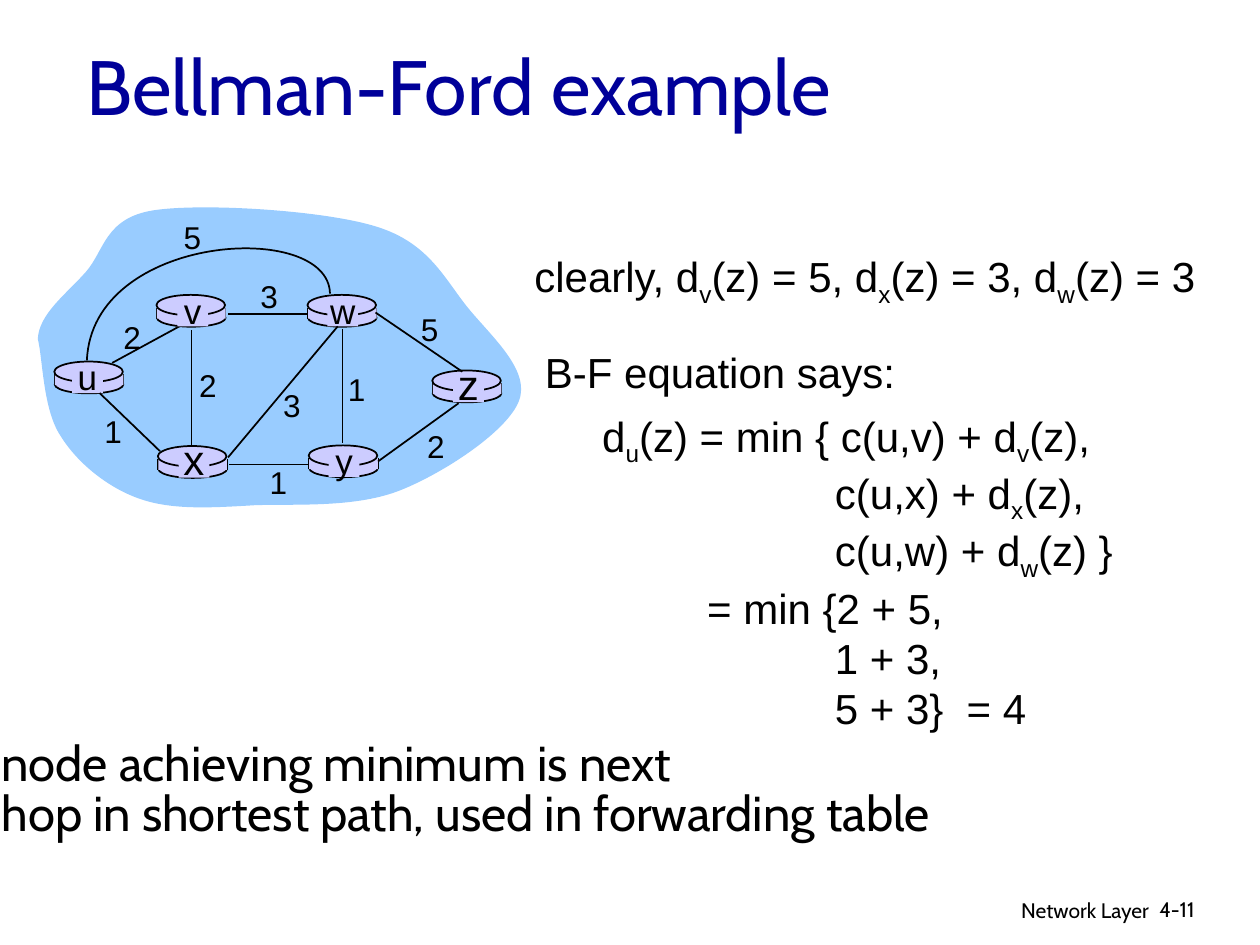
import pptx
import pptx.util
import pptx.dml.color
import pptx.enum.shapes
import pptx.enum.text
import pptx.oxml.ns
from lxml import etree

Pt = pptx.util.Pt
qn = pptx.oxml.ns.qn
SHAPE = pptx.enum.shapes.MSO_SHAPE
ALIGN = pptx.enum.text.PP_ALIGN
ANCHOR = pptx.enum.text.MSO_ANCHOR
COLORS = {name: pptx.dml.color.RGBColor.from_string(value) for name, value in {
    "title": "000099", "ink": "000000", "cloud": "99CCFF", "router": "CCCCFF"}.items()}


def write(sp, text, size=24, font="Arial", color="ink", align=ALIGN.LEFT,
          anchor=ANCHOR.TOP, wrap=False, spacing=None, indents=()):
    """Fill a shape; each newline starts a paragraph, each _ lowers one letter."""
    tf = sp.text_frame
    tf.word_wrap = wrap
    tf.auto_size = pptx.enum.text.MSO_AUTO_SIZE.NONE
    tf.vertical_anchor = anchor
    for i, line_text in enumerate(text.split("\n")):
        p = tf.add_paragraph() if i else tf.paragraphs[0]
        p.alignment = align
        if spacing:
            p.line_spacing = spacing
        if indents:
            pPr = p._p.get_or_add_pPr()
            pPr.set("marL", str(Pt(indents[i])))
            pPr.set("indent", "0")
        first, *rest = line_text.split("_")
        parts = [(first, False)]
        for part in rest:
            parts += [(part[0], True), (part[1:], False)]
        for part, lowered in parts:
            r = p.add_run()
            r.text = part
            r.font.size = Pt(size)
            r.font.name = font
            r.font.color.rgb = COLORS[color]
            if lowered:
                r._r.get_or_add_rPr().set("baseline", "-25000")


def line(x1, y1, x2, y2):
    c = s.shapes.add_connector(pptx.enum.shapes.MSO_CONNECTOR.STRAIGHT,
                               Pt(x1), Pt(y1), Pt(x2), Pt(y2))
    c.line.color.rgb = COLORS["ink"]
    c.line.width = Pt(1)
    etree.SubElement(c._element.spPr, qn("a:effectLst"))


prs = pptx.Presentation()
prs.slide_width, prs.slide_height = Pt(720), Pt(540)
s = prs.slides.add_slide(prs.slide_layouts[5])

# Title
sp = s.shapes.title
sp.left, sp.top, sp.width, sp.height = Pt(42), Pt(13.7), Pt(612), Pt(69)
write(sp, "Bellman-Ford example", size=44, font="Cabin", color="title",
      anchor=ANCHOR.MIDDLE, wrap=True)

# Network cloud and the long u-w link, as chains of Bézier control points
cloud = [(21.6, 193.7), (22.3, 179.3), (38.2, 167.8), (49, 155.5), (59.8, 143.3),
         (59.8, 124.6), (87.8, 120.2), (115.9, 115.9), (185.8, 120.2), (215.3, 129.6),
         (245.5, 139), (254.2, 159.8), (267.8, 176.4), (281.5, 193), (303.1, 211.7),
         (296.6, 229), (290.2, 246.2), (254.2, 270), (229, 280.1), (203.8, 290.2),
         (170.6, 288), (146.2, 288.7), (121, 290.2), (98.6, 291.6), (79.9, 285.1),
         (61.2, 278.6), (43.9, 264.2), (34.6, 249.1), (24.5, 234), (24.5, 205.2),
         (21.6, 193.7)]
arc = [(188.6, 167.8), (187.9, 125.3), (52.6, 133.2), (49.7, 205.9)]
for chain, filled in ((cloud, True), (arc, False)):
    points = [(Pt(x), Pt(y)) for x, y in chain]
    builder = s.shapes.build_freeform(*points[0])
    builder.add_line_segments(points[1:], close=filled)
    sp = builder.convert_to_shape()
    sp.shadow.inherit = False
    # Every three segments become one cubic curve
    segments = list(sp._element.iter(qn("a:lnTo")))
    for k in range(0, len(segments), 3):
        curve = etree.Element(qn("a:cubicBezTo"))
        segments[k].addprevious(curve)
        for segment in segments[k:k + 3]:
            curve.append(segment[0])
            segment.getparent().remove(segment)
    if filled:
        sp.fill.solid()
        sp.fill.fore_color.rgb = COLORS["cloud"]
        sp.line.fill.background()
    else:
        sp.fill.background()
        sp.line.color.rgb = COLORS["ink"]
        sp.line.width = Pt(1)

# Link u-v runs behind the routers
line(64.1, 207.4, 106.6, 184.3)

# Routers: name, left, top, letter size, letter centre
routers = [("u", 31, 206.6, 20, 19), ("x", 90.2, 254.9, 24, 20.7),
           ("v", 89.4, 168.5, 20, 20.7), ("w", 175.7, 168.5, 20, 20.2),
           ("y", 176.4, 254.5, 20, 20.2), ("z", 247, 211.7, 24, 20.7)]
W = 39.2
for name, x, y, size, centre in routers:
    # kind, dx, dy, width, height, outlined
    for kind, dx, dy, w, h, outlined in (
            (SHAPE.OVAL, 0.3, 8, W, 10.2, True),
            (SHAPE.RECTANGLE, 0.3, 7.3, W, 6.3, False),
            (SHAPE.OVAL, 0, 0, W, 11.7, True),
            (SHAPE.RECTANGLE, centre - 8.8, 1.5, 17.6, 16.6, False)):
        if kind == SHAPE.RECTANGLE and w == W:
            for side in (x + 0.3, x + W + 0.3):
                line(side, y + 7.3, side, y + 13.6)
        sp = s.shapes.add_shape(kind, Pt(x + dx), Pt(y + dy), Pt(w), Pt(h))
        sp.shadow.inherit = False
        sp.fill.solid()
        sp.fill.fore_color.rgb = COLORS["router"]
        if outlined:
            sp.line.color.rgb = COLORS["ink"]
            sp.line.width = Pt(1)
        else:
            sp.line.fill.background()
    raised, height = (10.5, 36) if size == 24 else (6.8, 31.7)
    tb = s.shapes.add_textbox(Pt(x + centre - 12.7), Pt(y - raised), Pt(25.4), Pt(height))
    write(tb, name, size=size, align=ALIGN.CENTER)

# Straight links in front of the routers
for link in ((195.8, 187.9, 195.8, 252.9), (109.4, 188.6, 109.4, 255.6),
             (130.3, 261.4, 193, 186.5), (216, 263.7, 262.1, 230.4),
             (176.4, 265.5, 131, 265.5), (91.4, 257.8, 56.9, 224.6),
             (175.7, 179.3, 130.3, 179.3), (264.2, 212.4, 214.6, 178.6)):
    line(*link)

# Link costs
for cost, x, y in (("2", 63.2, 178.1), ("2", 106.6, 205.5), ("1", 52.4, 231.8),
                   ("3", 154.6, 217), ("1", 146.9, 261.2), ("1", 191.5, 207.7),
                   ("2", 236.9, 240.5), ("5", 233.3, 173.5), ("3", 141.6, 154.8),
                   ("5", 97.7, 121.3)):
    tb = s.shapes.add_textbox(Pt(x), Pt(y), Pt(24.5), Pt(28.8))
    write(tb, cost, size=18, align=ALIGN.CENTER)

# Equations, conclusion and footer
equation = ("d_u(z) = min { c(u,v) + d_v(z),\nc(u,x) + d_x(z),\nc(u,w) + d_w(z) }\n"
            "= min {2 + 5,\n1 + 3,\n5 + 3}  = 4")
conclusion = "node achieving minimum is next\nhop in shortest path, used in forwarding table"
for text, x, y, w, h, fmt in (
        ("clearly, d_v(z) = 5, d_x(z) = 3, d_w(z) = 3", 298.3, 139.7, 393.8, 40.3, {}),
        ("B-F equation says:", 304.3, 194.4, 214.6, 36, {}),
        (equation, 337, 230.8, 306, 192.2,
         {"indents": (0, 133, 133, 60, 133, 133)}),
        (conclusion, -6.2, 420.2, 617.8, 64.8,
         {"size": 28, "font": "Cabin", "spacing": 0.85}),
        ("Network Layer", 435.6, 509.3, 228.2, 22.3,
         {"size": 12, "font": "Cabin", "align": ALIGN.RIGHT, "wrap": True}),
        ("4-11", 655.4, 509, 53.3, 21.6, {"size": 12, "font": "Cabin", "wrap": True})):
    tb = s.shapes.add_textbox(Pt(x), Pt(y), Pt(w), Pt(h))
    write(tb, text, **fmt)

prs.save("out.pptx")
